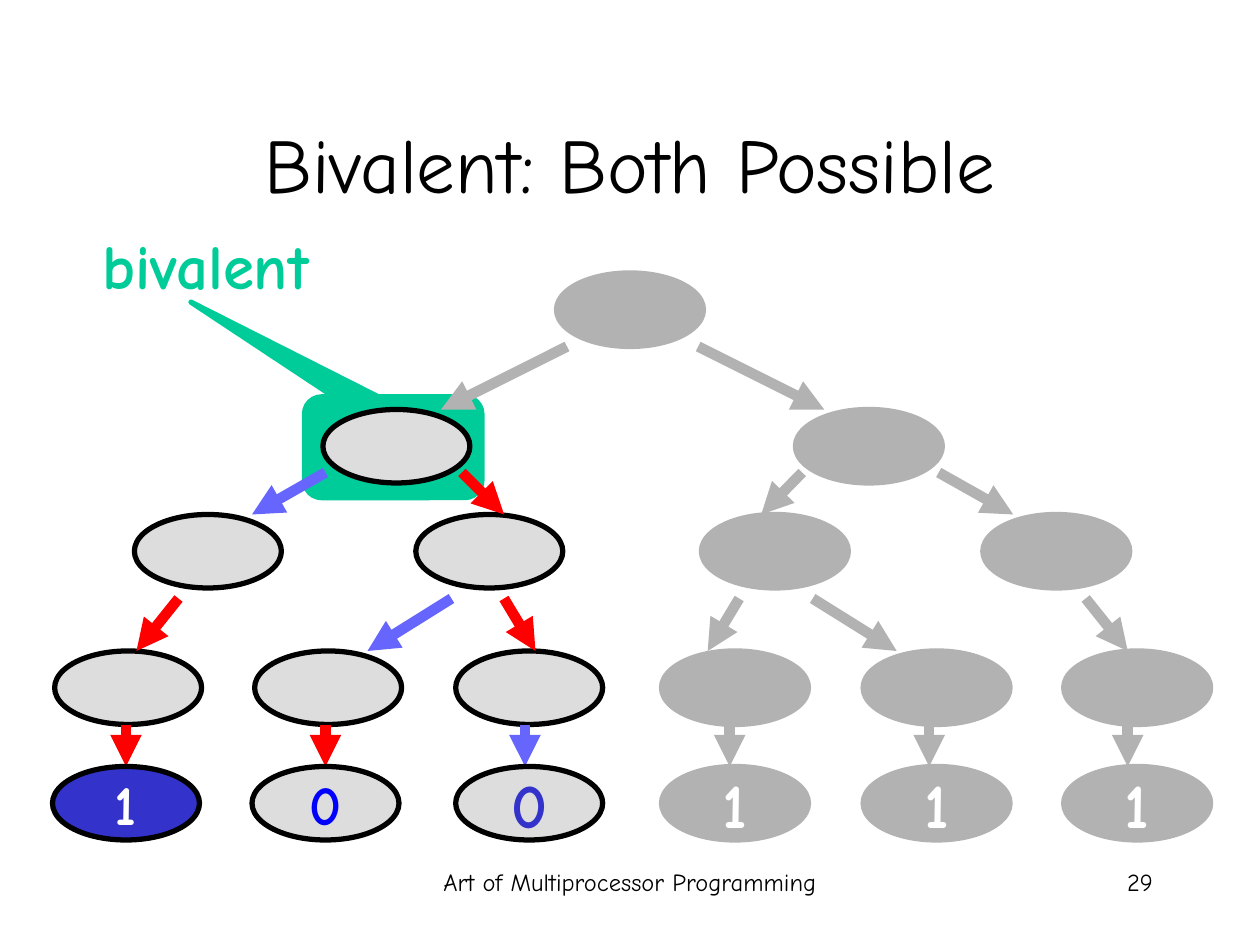
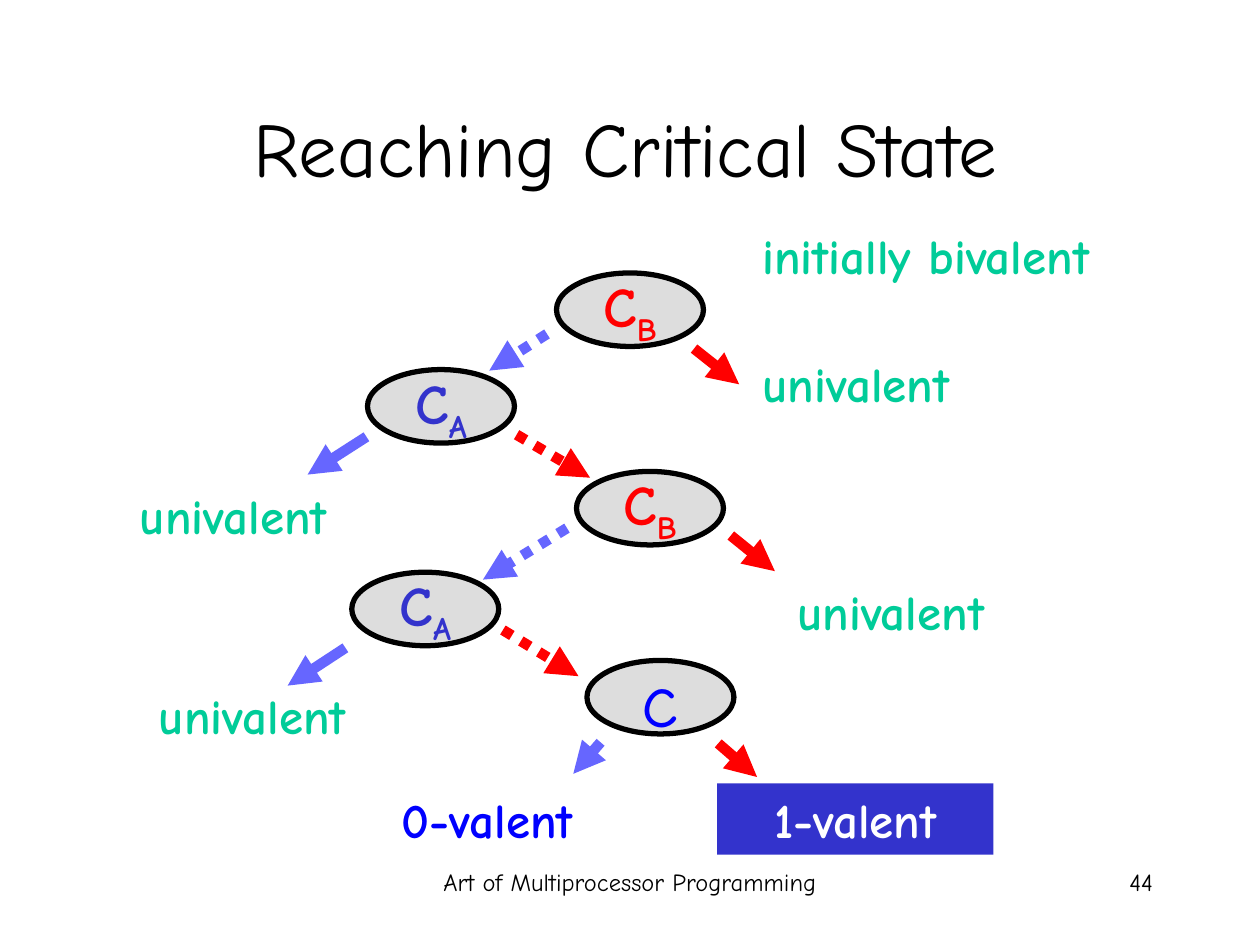
"""Builds two slides on bivalent and critical states as decision trees."""
from dataclasses import dataclass

from lxml.etree import SubElement
from pptx import Presentation
from pptx.dml.color import RGBColor
from pptx.enum.dml import MSO_LINE
from pptx.enum.shapes import MSO_CONNECTOR, MSO_SHAPE
from pptx.enum.text import MSO_ANCHOR, MSO_AUTO_SIZE, PP_ALIGN
from pptx.oxml.ns import qn
from pptx.util import Inches, Pt


@dataclass(frozen=True)
class Theme:
    font: str = "Comic Neue"
    black: str = "000000"
    white: str = "FFFFFF"
    green: str = "00CC99"
    pale: str = "DDDDDD"
    grey: str = "B2B2B2"
    navy: str = "3333CC"
    blue: str = "0000FF"
    violet: str = "6666FF"
    red: str = "FF0000"
    title: int = 44
    large: int = 36
    medium: int = 32
    label: int = 28
    footer: int = 14
    outline: int = 3
    arrow: int = 6


THEME = Theme()
COLUMNS, ROWS = 120, 90
OVAL_SIZE = (14, 7)


class TreeDeck:
    """Holds the style and the current slide, laid out on a 120 by 90 grid."""

    def __init__(self):
        self.deck = Presentation()
        self.deck.slide_width, self.deck.slide_height = Inches(10), Inches(7.5)
        self.page = None

    def grid(self, *lengths):
        units = (self.deck.slide_width / COLUMNS, self.deck.slide_height / ROWS)
        return [round(length * units[index % 2]) for index, length in enumerate(lengths)]

    def new_page(self, title, number, left, top):
        self.page = self.deck.slides.add_slide(self.deck.slide_layouts[5])
        box = self.page.shapes.title
        box.left, box.top, box.width, box.height = self.grid(left, top, 102, 15)
        self.fill_text(box, title, THEME.title, THEME.black, bold=False)
        self.text("Art of Multiprocessor Programming", (41, 82, 38, 6), THEME.footer,
                  THEME.black, bold=False)
        self.text(number, (86, 82, 25, 6), THEME.footer, THEME.black,
                  align=PP_ALIGN.RIGHT, bold=False)

    def fill_text(self, box, text, size, color, align=PP_ALIGN.CENTER, bold=True,
                  anchor=MSO_ANCHOR.MIDDLE, wrap=True, subscript=""):
        frame = box.text_frame
        frame.auto_size = MSO_AUTO_SIZE.NONE
        frame.word_wrap = wrap
        frame.vertical_anchor = anchor
        para = frame.paragraphs[0]
        para.alignment = align
        para.add_run().text = text
        if subscript:
            span = para.add_run()
            span.text = subscript
            span.font._element.set("baseline", "-25000")
        para.font.name, para.font.size, para.font.bold = THEME.font, Pt(size), bold
        para.font.color.rgb = RGBColor.from_string(color)

    def text(self, text, place, size, color, **style):
        box = self.page.shapes.add_textbox(*self.grid(*place))
        self.fill_text(box, text, size, color, anchor=MSO_ANCHOR.TOP, **style)

    def label(self, text, left, top, width, size=THEME.label, height=6.8):
        self.text(text, (left, top, width, height), size, THEME.green,
                  align=PP_ALIGN.RIGHT, wrap=False)

    def shape(self, kind, place, fill, line=None):
        shape = self.page.shapes.add_shape(kind, *self.grid(*place))
        shape.shadow.inherit = False
        shape.fill.solid()
        shape.fill.fore_color.rgb = RGBColor.from_string(fill)
        if line:
            shape.line.color.rgb = RGBColor.from_string(line)
            shape.line.width = Pt(THEME.outline)
        else:
            shape.line.fill.background()
        return shape

    def oval(self, left, top, fill=THEME.pale):
        line = THEME.grey if fill == THEME.grey else THEME.black
        return self.shape(MSO_SHAPE.OVAL, (left, top, *OVAL_SIZE), fill, line)

    def state(self, left, top, text, size, color, fill=THEME.pale, **style):
        self.fill_text(self.oval(left, top, fill), text, size, color, wrap=False, **style)

    def callout(self, place, pointer, color):
        bubble = self.shape(MSO_SHAPE.ROUNDED_RECTANGULAR_CALLOUT, place, color, color)
        for index, value in enumerate(pointer):
            bubble.adjustments[index] = value

    def arrow(self, start, end, color, dotted=False):
        line = self.page.shapes.add_connector(MSO_CONNECTOR.STRAIGHT, *self.grid(*start, *end))
        line.line.color.rgb = RGBColor.from_string(color)
        line.line.width = Pt(THEME.arrow)
        if dotted:
            line.line.dash_style = MSO_LINE.ROUND_DOT
        SubElement(line.line._get_or_add_ln(), qn("a:tailEnd"), type="triangle")
        SubElement(line._element.spPr, qn("a:effectLst"))


def bivalent_page(slides):
    slides.new_page("Bivalent: Both Possible", "29", 9, 8)
    slides.callout((29, 37.8, 16.9, 9.6), (-1.14, -1.44, 0.17), THEME.green)
    slides.label("bivalent", 8.4, 21, 22.2, THEME.large, 8.4)

    reached = {39: [30.75], 49: [12.8, 39.6], 62: [5.2, 24.25, 43.4]}
    unreached = {26: [53], 39: [75.75], 49: [66.8, 93.6], 62: [63, 82.2, 101.3]}
    for levels, fill in ((reached, THEME.pale), (unreached, THEME.grey)):
        for top, lefts in levels.items():
            for left in lefts:
                slides.oval(left, top, fill)

    for left in unreached[62]:
        slides.state(left, 73, "1", THEME.large, THEME.white, THEME.grey)

    red, violet, grey = THEME.red, THEME.violet, THEME.grey
    steps = {
        (33, 39): [(54, 42, grey), (66.5, 78.5, grey)],
        (45, 49): [(31, 24, violet), (44, 48, red), (76.4, 72.5, grey), (89.4, 96.5, grey)],
        (57, 62): [(17, 13, red), (43, 35, violet), (48, 51, red),
                   (70.4, 67.4, grey), (77.4, 85.4, grey), (103.4, 107.4, grey)],
        (69, 73): [(12, 12, red), (31, 31, red), (50, 50, violet),
                   (69.5, 69.5, grey), (88.5, 88.5, grey), (107.4, 107.4, grey)],
    }
    for (top, bottom), arrows in steps.items():
        for start, end, color in arrows:
            slides.arrow((start, top), (end, bottom), color)

    slides.state(5, 73, "1", THEME.medium, THEME.white, THEME.navy)
    slides.state(24, 73, "0", THEME.medium, THEME.blue)
    slides.state(43.4, 73, "0", THEME.large, THEME.navy)


def critical_page(slides):
    slides.new_page("Reaching Critical State", "44", 8.6, 6.5)
    for left, top, mover, color in (
        (53, 26, "B", THEME.red),
        (35, 35.2, "A", THEME.navy),
        (54.9, 44.9, "B", THEME.red),
        (33.5, 54.5, "A", THEME.navy),
    ):
        slides.state(left, top, "C", THEME.medium, color, subscript=mover)
    slides.state(55.9, 62.9, "c", THEME.title, THEME.blue, bold=False)

    for start, end, color, dotted in (
        ((52.1, 31.8), (46.6, 35.3), THEME.violet, True),
        ((49.2, 41.4), (56.2, 45.5), THEME.red, True),
        ((54, 50.3), (46, 55.2), THEME.violet, True),
        ((47.9, 60), (55.1, 64.4), THEME.red, True),
        ((57.2, 70.7), (54.6, 73.7), THEME.violet, True),
        ((66.1, 33.2), (70.4, 36.6), THEME.red, False),
        ((34.9, 41.6), (29.3, 45.2), THEME.violet, False),
        ((69.6, 51), (73.8, 54.4), THEME.red, False),
        ((32.9, 61.7), (27.4, 65.3), THEME.violet, False),
        ((68.4, 70.8), (72.1, 74), THEME.red, False),
    ):
        slides.arrow(start, end, color, dotted)

    slides.label("initially bivalent", 71.3, 20.9, 33.6)
    for left, top in ((71.3, 33.1), (12, 45.6), (74.6, 54.8), (13.8, 64.7)):
        slides.label("univalent", left, top, 20.3)
    slides.text("0-valent", (32.3, 74.6, 28.2, 6.8), THEME.label, THEME.blue)
    outcome = slides.shape(MSO_SHAPE.RECTANGLE, (68.3, 74.6, 26.3, 6.8), THEME.navy)
    slides.fill_text(outcome, "1-valent", THEME.label, THEME.white, anchor=MSO_ANCHOR.TOP)


def main():
    slides = TreeDeck()
    bivalent_page(slides)
    critical_page(slides)
    slides.deck.save("out.pptx")


if __name__ == "__main__":
    main()
